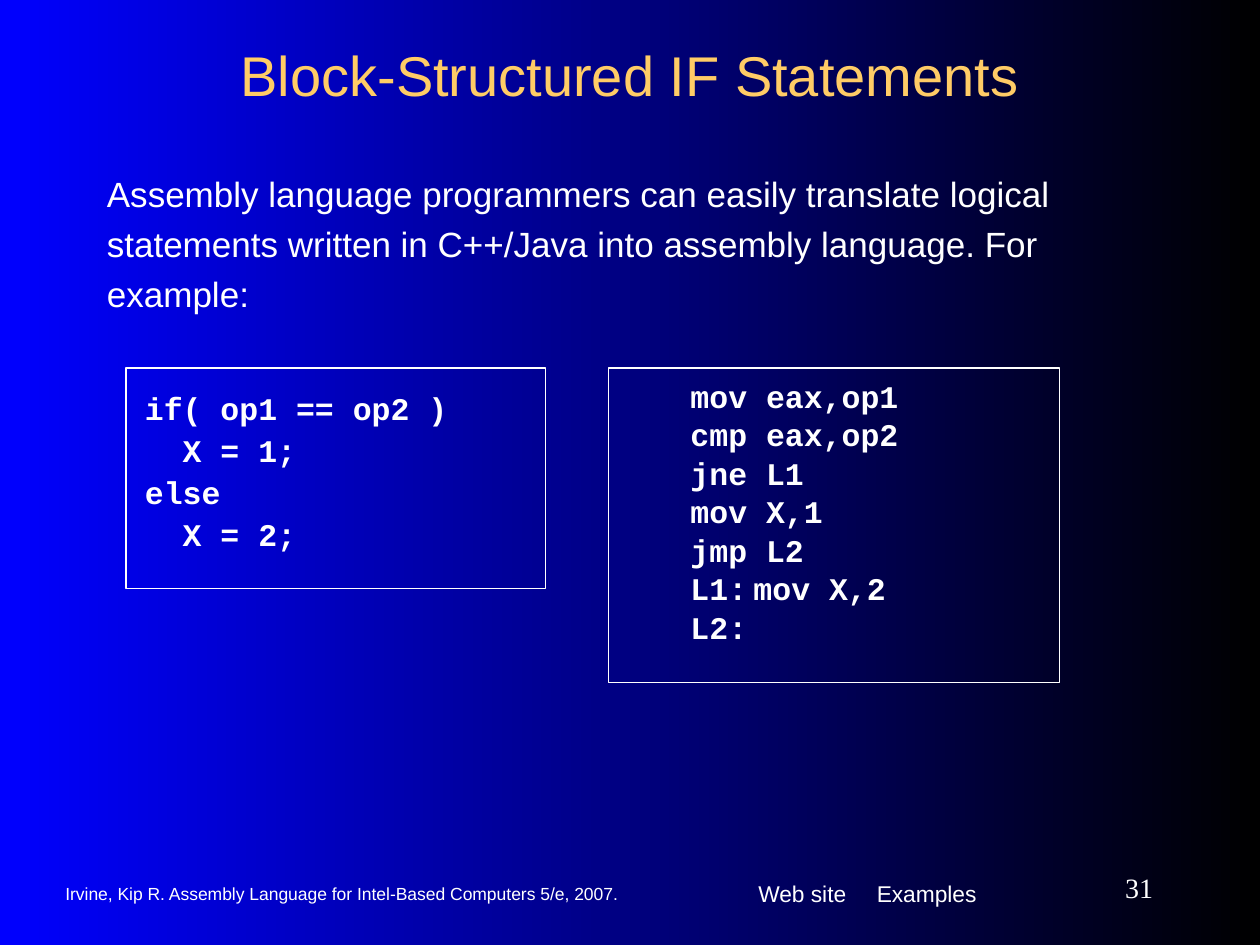
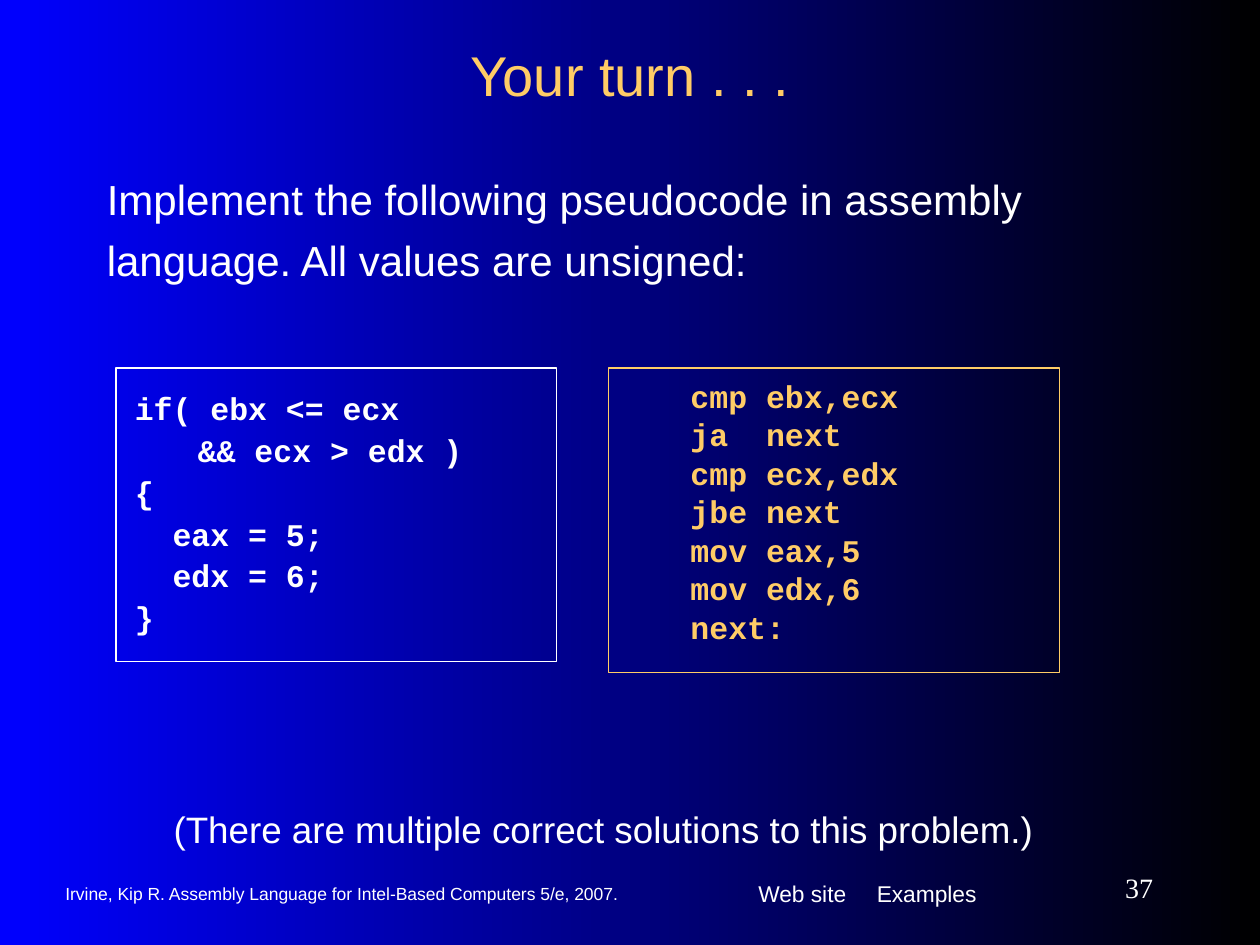
from lxml.etree import SubElement
from pptx import Presentation
from pptx.dml.color import RGBColor
from pptx.enum.shapes import MSO_SHAPE
from pptx.enum.text import MSO_ANCHOR, MSO_AUTO_SIZE, PP_ALIGN
from pptx.oxml.ns import qn
from pptx.util import Inches, Pt

BLUE = RGBColor(0x00, 0x00, 0xFF)
BLACK = RGBColor(0x00, 0x00, 0x00)
WHITE = RGBColor(0xFF, 0xFF, 0xFF)
GOLD = RGBColor(0xFF, 0xCC, 0x66)

SANS, SERIF, MONO = "Arial", "Times New Roman", "Courier New"
TITLE_ONLY = 5
CITATION = "Irvine, Kip R. Assembly Language for Intel-Based Computers 5/e, 2007."


def set_tabs(paragraph, positions):
    """Add left tab stops, given in inches, to a paragraph."""
    tab_list = SubElement(paragraph._p.get_or_add_pPr(), qn("a:tabLst"))
    for position in positions:
        SubElement(tab_list, qn("a:tab"), pos=str(Inches(position)), algn="l")


class LectureDeck:
    """Holds the lecture style and the slide being filled."""

    def __init__(self):
        self.deck = Presentation()
        self.deck.slide_width = Inches(10)
        self.deck.slide_height = Inches(7.5)
        self.slide = None
        fill = self.deck.slide_master.background.fill
        fill.gradient()
        fill.gradient_angle = 0
        for stop, color, position in zip(fill.gradient_stops, (BLUE, BLACK), (0, 1)):
            stop.color.rgb = color
            stop.position = position

    def new_slide(self, title, number):
        layout = self.deck.slide_layouts[TITLE_ONLY]
        self.slide = self.deck.slides.add_slide(layout)
        self.title(title)
        self.footer(number)

    def fill_text(self, shape, text, size, color=WHITE, font=SANS, bold=False,
                  align=PP_ALIGN.LEFT, anchor=MSO_ANCHOR.TOP, margins=(0.1, 0.05),
                  line_spacing=None, gap=0, indent=0, tabs=()):
        """Set the text of a shape and format its frame, paragraphs and runs."""
        frame = shape.text_frame
        frame.text = text
        frame.word_wrap = True
        frame.auto_size = MSO_AUTO_SIZE.NONE
        frame.vertical_anchor = anchor
        side, edge = margins
        frame.margin_left = frame.margin_right = Inches(side)
        frame.margin_top = frame.margin_bottom = Inches(edge)
        for index, para in enumerate(frame.paragraphs):
            para.alignment = align
            para.space_before = Pt(gap if index else 0)
            if line_spacing:
                para.line_spacing = line_spacing
            if indent:
                properties = para._p.get_or_add_pPr()
                properties.set("marL", str(Inches(indent)))
                properties.set("indent", "0")
            if tabs:
                set_tabs(para, tabs)
            for span in para.runs:
                span.font.name = font
                span.font.size = Pt(size)
                span.font.bold = bold
                span.font.color.rgb = color

    def title(self, text):
        title = self.slide.shapes.title
        title.left, title.top = Inches(0.75), Inches(0.25)
        title.width, title.height = Inches(8.5), Inches(0.67)
        self.fill_text(title, text, 32, GOLD, align=PP_ALIGN.CENTER,
                       anchor=MSO_ANCHOR.MIDDLE)

    def text(self, left, top, width, height, text, size, **style):
        box = self.slide.shapes.add_textbox(
            Inches(left), Inches(top), Inches(width), Inches(height))
        self.fill_text(box, text, size, **style)

    def footer(self, number):
        self.text(5.92, 6.83, 2.25, 0.52, "Web site\tExamples", 13,
                  margins=(0.1, 0.15), tabs=[0.94])
        self.text(0.42, 6.93, 5.17, 0.33, CITATION, 10, anchor=MSO_ANCHOR.MIDDLE)
        self.text(8.17, 6.83, 1.08, 0.42, str(number), 16, font=SERIF,
                  align=PP_ALIGN.RIGHT, anchor=MSO_ANCHOR.MIDDLE)

    def intro(self, text, size):
        self.text(0.75, 1.25, 8.5, 1.42, text, size, line_spacing=1.2)

    def code_box(self, left, width, height, code, color=WHITE, **style):
        box = self.slide.shapes.add_shape(
            MSO_SHAPE.RECTANGLE, Inches(left), Inches(2.92),
            Inches(width), Inches(height))
        box.shadow.inherit = False
        box.fill.background()
        box.line.color.rgb = color
        box.line.width = Pt(0.75)
        self.fill_text(box, code, 18, color, MONO, bold=True, margins=(0.15, 0.2),
                       tabs=[0.5, 1], **style)

    def pseudocode(self, left, width, height, code):
        self.code_box(left, width, height, code, line_spacing=0.9, gap=4.5)

    def assembly(self, height, code, color=WHITE):
        self.code_box(4.83, 3.58, height, code, color, line_spacing=0.5,
                      gap=11.2, indent=0.5)


IF_ELSE = """if( op1 == op2 )
  X = 1;
else
  X = 2;"""

IF_ELSE_ASSEMBLY = """mov eax,op1
cmp eax,op2
jne L1
mov X,1
jmp L2
L1:\tmov X,2
L2:"""

COMPOUND_IF = """if( ebx <= ecx
\t&& ecx > edx )
{
  eax = 5;
  edx = 6;
}"""

COMPOUND_IF_ASSEMBLY = """cmp ebx,ecx
ja  next
cmp ecx,edx
jbe next
mov eax,5
mov edx,6
next:"""


def main():
    lecture = LectureDeck()

    lecture.new_slide("Block-Structured IF Statements", 31)
    lecture.intro("Assembly language programmers can easily translate logical "
                  "statements written in C++/Java into assembly language. "
                  "For example:", 20)
    lecture.assembly(2.5, IF_ELSE_ASSEMBLY)
    lecture.pseudocode(1, 3.33, 1.75, IF_ELSE)

    lecture.new_slide("Your turn . . .", 37)
    lecture.intro("Implement the following pseudocode in assembly language. "
                  "All values are unsigned:", 24)
    lecture.assembly(2.42, COMPOUND_IF_ASSEMBLY, GOLD)
    lecture.pseudocode(0.92, 3.5, 2.33, COMPOUND_IF)
    lecture.text(0.83, 6.25, 7.92, 0.65,
                 "(There are multiple correct solutions to this problem.)", 21,
                 align=PP_ALIGN.CENTER, margins=(0.1, 0.15))

    lecture.deck.save("out.pptx")


if __name__ == "__main__":
    main()
